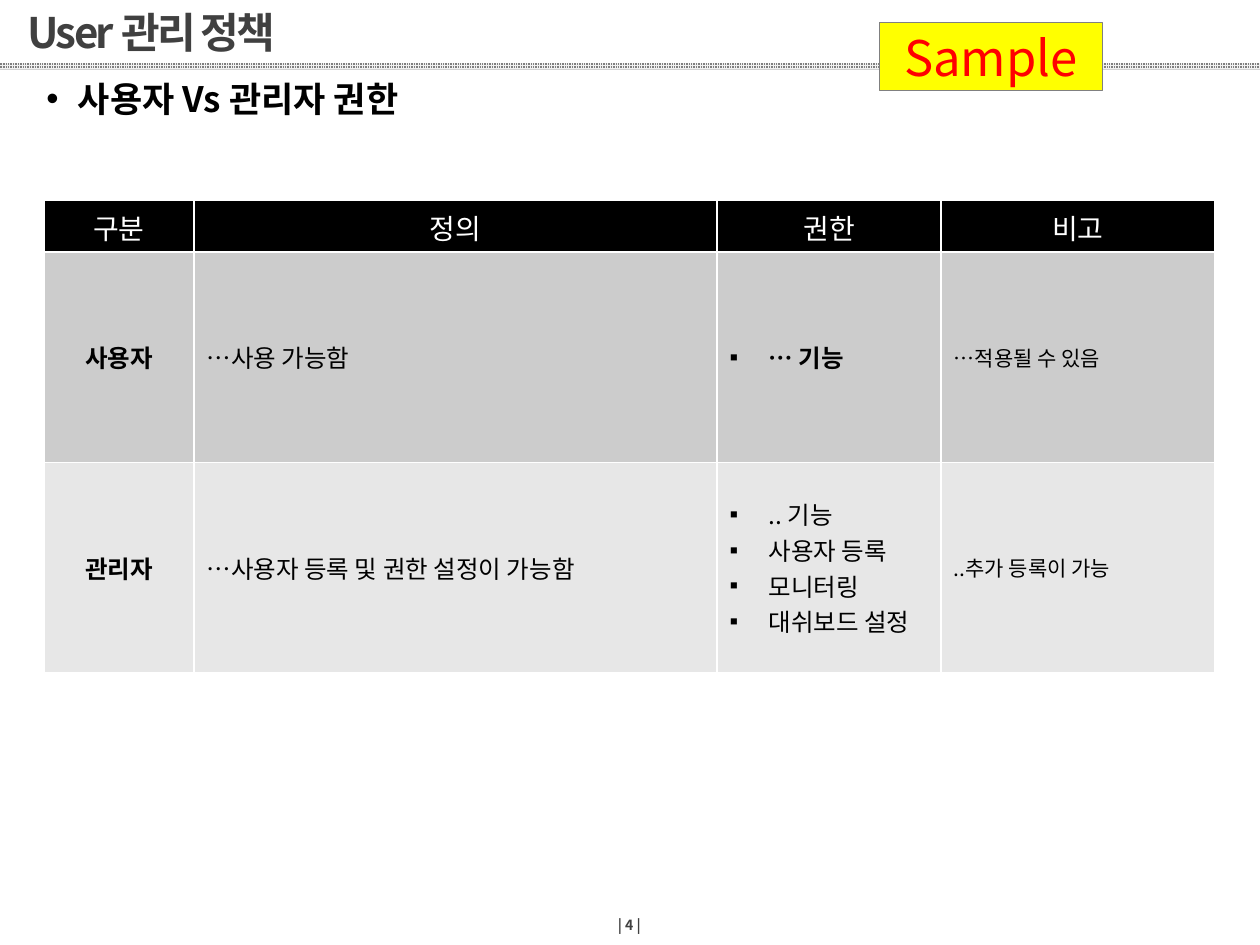
import pptx
import pptx.util
import pptx.dml.color
import pptx.enum.dml
import pptx.enum.shapes
import pptx.enum.text
import pptx.oxml
import pptx.oxml.ns

FONT = "Noto Sans CJK KR"
ALIGN = pptx.enum.text.PP_ALIGN
ANCHOR = pptx.enum.text.MSO_ANCHOR
RECTANGLE = pptx.enum.shapes.MSO_SHAPE.RECTANGLE
BULLET_INDENT = 3.1

COLUMNS = [11.9, 41.5, 17.8, 21.7]
ROWS = [4.1, 16.7, 16.7]
ROW_FILLS = ["000000", "CCCCCC", "E7E7E7"]
HEADINGS = ["구분", "정의", "권한", "비고"]
# Each role: name, definition, permissions, remark, bold permissions
ROLES = [
    ("사용자", "…사용 가능함", ["… 기능"], "…적용될 수 있음", True),
    ("관리자", "…사용자 등록 및 권한 설정이 가능함",
     [".. 기능", "사용자 등록", "모니터링", "대쉬보드 설정"],
     "..추가 등록이 가능", False),
]


def grid(units):
    """Length on the slide's grid of 100 columns by 75 rows."""
    return pptx.util.Inches(units / 10)


def color(value):
    return pptx.dml.color.RGBColor.from_string(value)


def add_element(parent, tag, **attributes):
    element = pptx.oxml.ns.qn(tag)
    child = parent.makeelement(element, attributes)
    parent.append(child)
    return child


def write(frame, lines, size, ink="000000", bold=False, align=ALIGN.LEFT,
          anchor=ANCHOR.MIDDLE, bullet=None, indent=BULLET_INDENT,
          spacing=None, before=None, tracking=None):
    """Fill a text frame with one paragraph for each line."""
    for name, value in {"word_wrap": True, "vertical_anchor": anchor}.items():
        setattr(frame, name, value)
    for index, line in enumerate(lines):
        para = frame.paragraphs[0] if index == 0 else frame.add_paragraph()
        layout = {"alignment": align, "line_spacing": spacing,
                  "space_before": before}
        for name, value in layout.items():
            setattr(para, name, value)
        if bullet:
            properties = para._p.get_or_add_pPr()
            properties.set("marL", str(grid(indent)))
            properties.set("indent", str(-grid(indent)))
            add_element(properties, "a:buFont", typeface="Arial")
            add_element(properties, "a:buChar", char=bullet)
        span = para.add_run()
        span.text = line
        looks = {"size": pptx.util.Pt(size), "bold": bold, "name": FONT}
        for name, value in looks.items():
            setattr(span.font, name, value)
        span.font.color.rgb = color(ink)
        properties = span._r.get_or_add_rPr()
        add_element(properties, "a:ea", typeface=FONT)
        if tracking:
            properties.set("spc", str(int(tracking * 100)))


def add_text(page, box, lines, size, **style):
    shape = page.shapes.add_textbox(*map(grid, box))
    write(shape.text_frame, lines, size, **style)


def add_header(page, box):
    """Title above a patterned rule along the bottom of the box."""
    left, top, width, height = box
    rule = page.shapes.add_shape(
        RECTANGLE, *map(grid, (left, top + height - 0.5, width, 0.5)))
    rule.shadow.inherit = False
    rule.line.fill.background()
    rule.fill.patterned()
    rule.fill.pattern = pptx.enum.dml.MSO_PATTERN.SMALL_GRID
    rule.fill.fore_color.rgb = color("F2F2F2")
    rule.fill.back_color.rgb = color("808080")
    add_text(page, (left + 1.2, top + 0.5, 85.5, height - 1),
             ["User 관리 정책"], 24, ink="404040", bold=True,
             spacing=0.9, tracking=-1.5)


def add_borders(cell):
    properties = cell._tc.get_or_add_tcPr()
    for index, side in enumerate("LRTB"):
        border = pptx.oxml.parse_xml(
            f'<a:ln{side} {pptx.oxml.ns.nsdecls("a")} w="12700"><a:solidFill>'
            f'<a:srgbClr val="FFFFFF"/></a:solidFill></a:ln{side}>')
        properties.insert(index, border)


def add_roles_table(page, box):
    """Header row, then one row for each role."""
    table = page.shapes.add_table(
        len(ROWS), len(COLUMNS), *map(grid, box)).table
    for column, share in zip(table.columns, COLUMNS):
        column.width = grid(box[2] * share / sum(COLUMNS))
    for row, share, fill in zip(table.rows, ROWS, ROW_FILLS):
        row.height = grid(box[3] * share / sum(ROWS))
        for cell in row.cells:
            cell.fill.solid()
            cell.fill.fore_color.rgb = color(fill)
            cell.vertical_anchor = ANCHOR.MIDDLE
            add_borders(cell)

    for column, heading in enumerate(HEADINGS):
        write(table.cell(0, column).text_frame, [heading], 16,
              ink="FFFFFF", align=ALIGN.CENTER)
    for row, role in enumerate(ROLES, start=1):
        name, definition, permissions, remark, strong = role
        frames = [table.cell(row, column).text_frame
                  for column in range(len(COLUMNS))]
        write(frames[0], [name], 14, bold=True, align=ALIGN.CENTER)
        write(frames[1], [definition], 14)
        write(frames[2], permissions, 14, bold=strong, bullet="▪")
        write(frames[3], [remark], 12)


def add_sample_tag(page, box):
    tag = page.shapes.add_shape(RECTANGLE, *map(grid, box))
    tag.shadow.inherit = False
    tag.fill.solid()
    tag.fill.fore_color.rgb = color("FFFF00")
    tag.line.color.rgb = color("808080")
    tag.line.width = pptx.util.Pt(0.25)
    write(tag.text_frame, ["Sample"], 28, ink="FF0000", align=ALIGN.CENTER)


def main():
    deck = pptx.Presentation()
    deck.slide_width, deck.slide_height = grid(100), grid(75)
    page = deck.slides.add_slide(deck.slide_layouts[6])

    add_header(page, (0, 0, 100, 5.5))
    # Page number
    add_text(page, (46.1, 72, 7.7, 2.8), ["| 4 |"], 8, ink="404040",
             bold=True, align=ALIGN.CENTER)
    # Topic line
    add_text(page, (2.7, 6, 94.5, 4.7), ["사용자 Vs 관리자 권한"], 20,
             bold=True, anchor=ANCHOR.TOP, bullet="•", indent=2.5,
             spacing=0.9, before=pptx.util.Pt(10))
    add_roles_table(page, (3.5, 15.9, 92.9, 37.5))
    add_sample_tag(page, (69.8, 1.8, 17.7, 5.4))

    deck.save("out.pptx")


if __name__ == "__main__":
    main()
